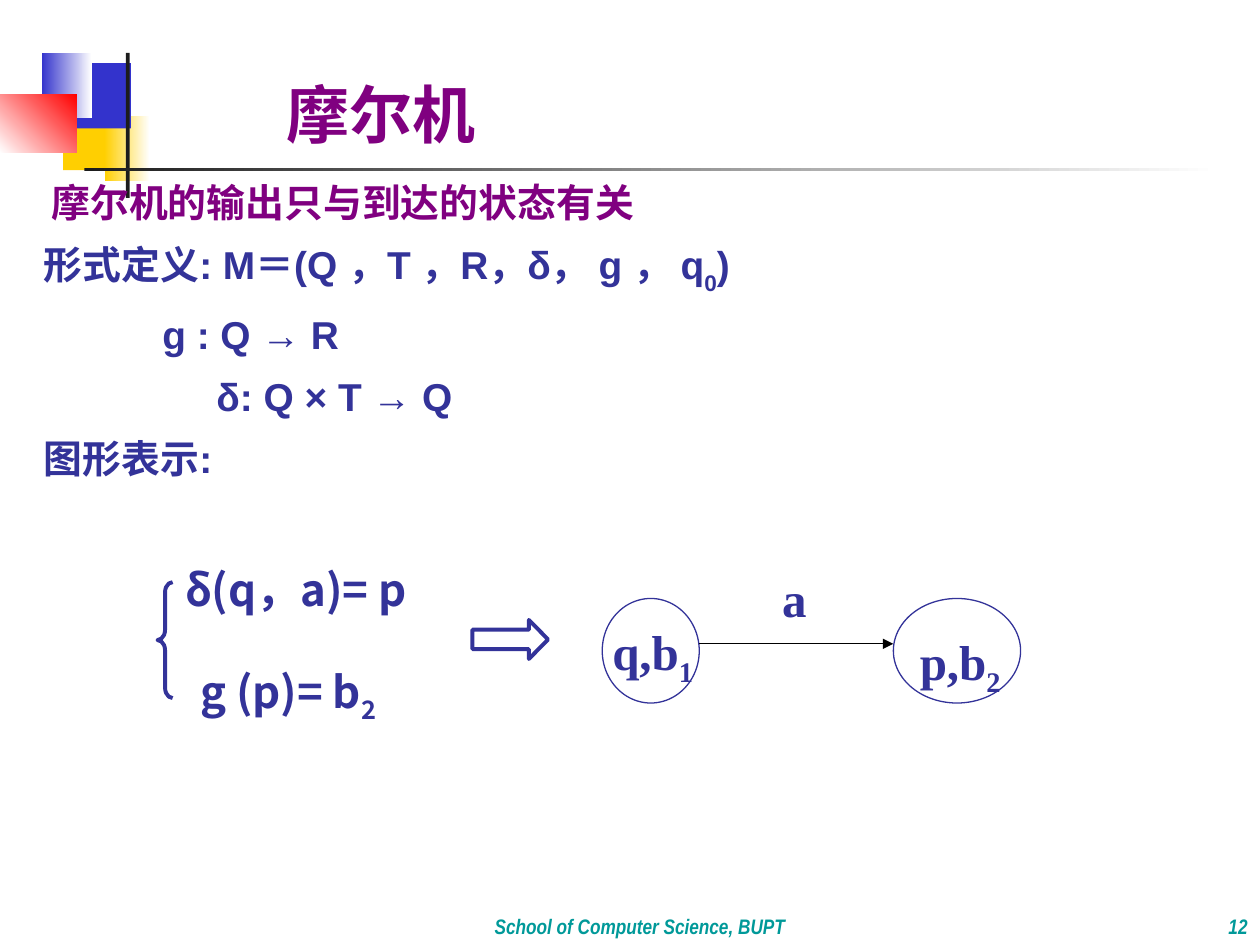
import pptx
import pptx.dml.color
import pptx.enum.shapes
import pptx.enum.text
import pptx.oxml
import pptx.oxml.ns
import pptx.util
from lxml import etree

Inches = pptx.util.Inches
Pt = pptx.util.Pt
SHAPE = pptx.enum.shapes.MSO_SHAPE
ALIGN = pptx.enum.text.PP_ALIGN
ANCHOR = pptx.enum.text.MSO_ANCHOR
qn = pptx.oxml.ns.qn


def colour(code):
    return pptx.dml.color.RGBColor.from_string(code)


class MooreSlide:
    INK = "333399"
    PURPLE = "800080"
    TEAL = "009999"
    SANS = "Noto Sans CJK SC"
    SERIF = "Times New Roman"

    def __init__(self, slide):
        self.slide = slide

    def block(self, box, fill, fade_to=None, angle=0):
        block = self.shape(SHAPE.RECTANGLE, box, fill)
        if fade_to:
            block.fill.gradient()
            block.fill.gradient_angle = angle
            for stop, code in zip(block.fill.gradient_stops, (fill, fade_to)):
                stop.color.rgb = colour(code)

    def shape(self, kind, box, fill=None, width=None, adjustments=()):
        shape = self.slide.shapes.add_shape(kind, *map(Inches, box))
        shape.shadow.inherit = False
        if fill:
            shape.fill.solid()
            shape.fill.fore_color.rgb = colour(fill)
        else:
            shape.fill.background()
        if width:
            shape.line.color.rgb = colour(self.INK)
            shape.line.width = Pt(width)
        else:
            shape.line.fill.background()
        for index, value in enumerate(adjustments):
            shape.adjustments[index] = value
        return shape

    def text(self, box, runs, wrap=True, anchor=ANCHOR.TOP, layout=None, **style):
        frame = self.slide.shapes.add_textbox(*map(Inches, box)).text_frame
        frame.word_wrap = wrap
        frame.vertical_anchor = anchor
        self.paragraph(frame.paragraphs[0], runs, layout, **style)
        return frame

    def paragraph(self, paragraph, runs, layout=None, indent=0, size=25,
                  font=SANS, code=INK, italic=False):
        if indent:
            paragraph._p.get_or_add_pPr().set("marL", str(Inches(indent)))
        for name, value in (layout or {}).items():
            setattr(paragraph, name, value)
        look = {"size": Pt(size), "name": font, "bold": True, "italic": italic}
        for content, baseline in runs:
            run = paragraph.add_run()
            run.text = content
            for name, value in look.items():
                setattr(run.font, name, value)
            run.font.color.rgb = colour(code)
            properties = run._r.get_or_add_rPr()
            etree.SubElement(properties, qn("a:ea")).set("typeface", self.SANS)
            if baseline:
                properties.set("baseline", str(baseline * 1000))

    def arrow(self, start, end):
        arrow = self.slide.shapes.add_connector(
            pptx.enum.shapes.MSO_CONNECTOR.STRAIGHT, *map(Inches, start + end))
        arrow.line.color.rgb = colour("000000")
        arrow.line.width = Pt(0.75)
        line = arrow.line._get_or_add_ln()
        etree.SubElement(line, qn("a:tailEnd")).set("type", "triangle")
        etree.SubElement(arrow._element.spPr, qn("a:effectLst"))


def main():
    deck = pptx.Presentation()
    deck.slide_width, deck.slide_height = Inches(10), Inches(7.5)
    page = MooreSlide(deck.slides.add_slide(deck.slide_layouts[6]))

    page.block((0.5, 0.83, 0.48, 0.52), "FFCF01")
    page.block((0.83, 0.92, 0.36, 0.52), "FFCF01", "FFFFFF")
    page.block((0.58, 0.5, 0.46, 0.52), "3333CC")
    page.block((0.33, 0.42, 0.4, 0.52), "3333CC", "FFFFFF")
    page.block((0, 0.75, 0.61, 0.46), "FFFFFF", "FF0000", 45)
    page.block((1, 0.42, 0.03, 1.15), "1C1C1C")
    page.block((0.67, 1.33, 9, 0.03), "1C1C1C", "FFFFFF")

    footer = {"size": 12, "font": "Arial Narrow", "code": page.TEAL,
              "italic": True, "anchor": ANCHOR.BOTTOM}
    page.text((8.33, 7, 1.67, 0.5), [("12", 0)],
              layout={"alignment": ALIGN.RIGHT}, **footer)
    page.text((1.58, 7, 7, 0.5), [("School of Computer Science, BUPT", 0)],
              layout={"alignment": ALIGN.CENTER, "line_spacing": 1.1}, **footer)
    page.text((1.25, 0.33, 3.55, 0.92), [("摩尔机", 0)], anchor=ANCHOR.BOTTOM,
              layout={"alignment": ALIGN.CENTER}, size=36, font="Calibri",
              code=page.PURPLE)

    body_layout = {"alignment": ALIGN.JUSTIFY, "line_spacing": 1.1}
    definition = page.text((0.25, 1.33, 9.33, 3),
                           [("摩尔机的输出只与到达的状态有关", 0)],
                           layout=body_layout, indent=0.06, size=22.2,
                           code=page.PURPLE)
    body_layout["space_before"] = Pt(6)
    for indent, runs in (
        (0, [("形式定义: M＝(Q ，T ，R，δ， g ， q", 0), ("0", -30), (")", 0)]),
        (0.94, [("g : Q → R", 0)]),
        (1.37, [("δ: Q × T → Q", 0)]),
        (0, [("图形表示:", 0)]),
    ):
        page.paragraph(definition.add_paragraph(), runs, body_layout,
                       indent=indent, size=22.2, font="Arial")

    page.text((1.37, 4.42, 2.29, 0.52), [("δ(q，a)= p", 0)])
    page.text((1.49, 5.23, 1.93, 0.58), [("g (p)= b", 0), ("2", -25)])
    page.shape(SHAPE.LEFT_BRACE, (1.25, 4.62, 0.12, 0.92), width=2.25,
               adjustments=(0.67, 0.5))
    page.shape(SHAPE.RIGHT_ARROW, (3.75, 4.92, 0.6, 0.31), "FFFFFF", 2.25,
               (0.5, 0.49))

    label = {"wrap": False, "size": 28, "font": page.SERIF,
             "layout": {"alignment": ALIGN.RIGHT}}
    for left, width, label_left, label_top, state, output in (
        (4.78, 0.77, 4.76, 4.88, "q,b", "1"),
        (7.09, 1.01, 7.2, 4.96, "p,b", "2"),
    ):
        page.shape(SHAPE.OVAL, (left, 4.75, width, 0.83), "FFFFFF", 0.75)
        page.text((label_left, label_top, 0.84, 0.55),
                  [(state, 0), (output, -25)], **label)
    page.arrow((5.55, 5.11), (7.09, 5.11))
    page.text((6.11, 4.46, 0.39, 0.55), [("a", 0)], **label)

    deck.save("out.pptx")


if __name__ == "__main__":
    main()
